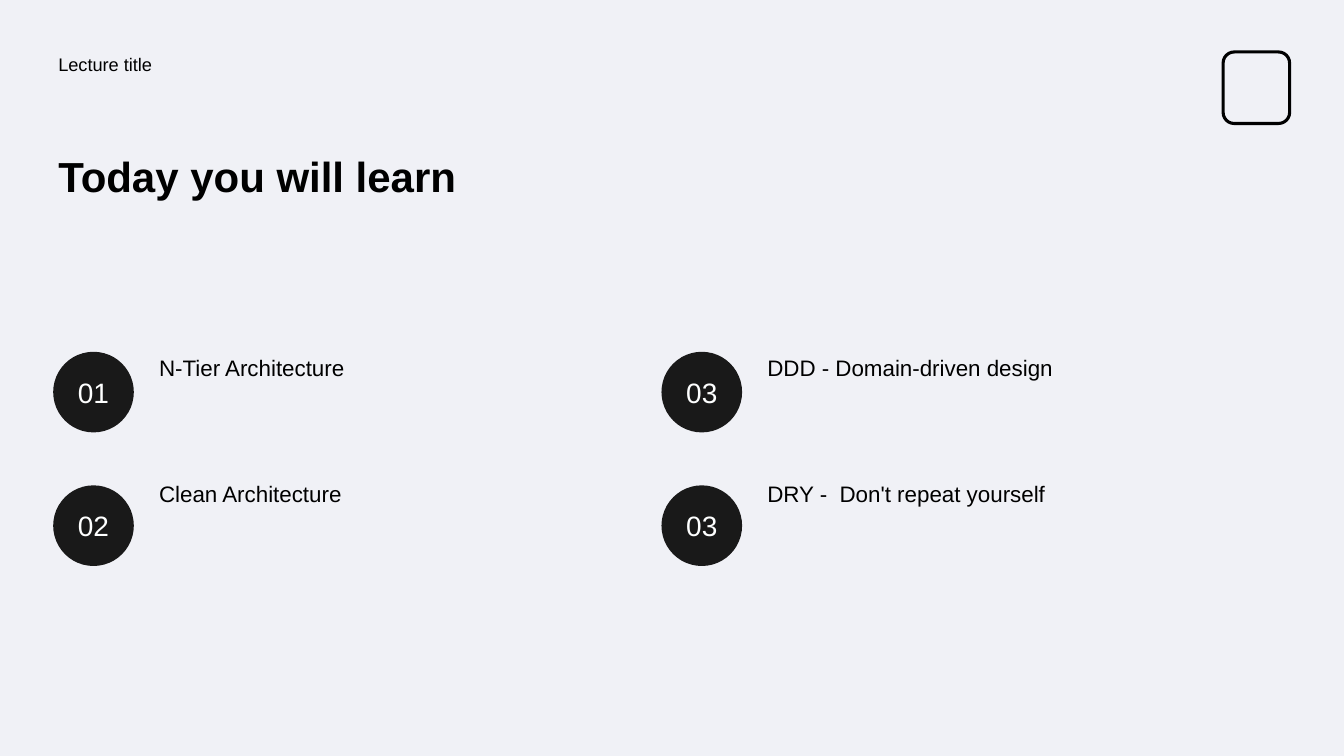
from lxml.etree import SubElement
from pptx import Presentation
from pptx.dml.color import RGBColor
from pptx.enum.shapes import MSO_SHAPE
from pptx.enum.text import MSO_ANCHOR, MSO_AUTO_SIZE, PP_ALIGN
from pptx.oxml.ns import qn
from pptx.util import Pt

COLORS = {"bg": "F0F1F6", "text": "000000", "badge": "191919", "number": "FEFFFF"}
TOPICS = [
    ("01", "N-Tier Architecture"),
    ("02", "Clean Architecture"),
    ("03", "DDD - Domain-driven design"),
    ("03", "DRY -  Don't repeat yourself"),
]


class Deck:
    font = "Arial"

    def __init__(self, prs, layout):
        self.s = prs.slides.add_slide(prs.slide_layouts[layout])
        self.fill(self.s.background, "bg")

    def fill(self, item, color):
        item.fill.solid()
        item.fill.fore_color.rgb = RGBColor.from_string(COLORS[color])

    def set_text(self, sp, text, size, color="text", bold=False,
                 align=PP_ALIGN.LEFT, anchor=MSO_ANCHOR.TOP, spacing=0.9):
        tf = sp.text_frame
        tf.text = text
        tf.word_wrap = True
        tf.auto_size = MSO_AUTO_SIZE.NONE
        tf.vertical_anchor = anchor
        tf.margin_left = tf.margin_right = Pt(3.6)
        tf.margin_top = tf.margin_bottom = Pt(3.6)
        p = tf.paragraphs[0]
        p.alignment = align
        p.line_spacing = spacing
        p.space_before = Pt(0)
        f = p.runs[0].font
        f.name, f.size, f.bold = self.font, Pt(size), bold
        f.color.rgb = RGBColor.from_string(COLORS[color])
        return p

    def placeholder(self, idx, text, x, y, w, h, size, bold=False):
        sp = self.s.placeholders[idx]
        sp.left, sp.top, sp.width, sp.height = Pt(x), Pt(y), Pt(w), Pt(h)
        pPr = self.set_text(sp, text, size, bold=bold)._p.get_or_add_pPr()
        pPr.set("marL", "0")
        pPr.set("indent", "0")
        SubElement(pPr, qn("a:buNone"))

    def textbox(self, text, x, y, w, h, size):
        sp = self.s.shapes.add_textbox(Pt(x), Pt(y), Pt(w), Pt(h))
        self.set_text(sp, text, size)

    def badge(self, text, x, y, d):
        sp = self.s.shapes.add_shape(MSO_SHAPE.OVAL, Pt(x), Pt(y), Pt(d), Pt(d))
        sp.shadow.inherit = False
        self.fill(sp, "badge")
        sp.line.fill.background()
        self.set_text(sp, text, 20, "number", align=PP_ALIGN.CENTER,
                      anchor=MSO_ANCHOR.MIDDLE, spacing=1.0)

    def emblem(self, x, y, w, h):
        sp = self.s.shapes.add_shape(MSO_SHAPE.ROUNDED_RECTANGLE, Pt(x), Pt(y), Pt(w), Pt(h))
        sp.shadow.inherit = False
        sp.fill.background()
        sp.line.color.rgb = RGBColor.from_string(COLORS["text"])
        sp.line.width = Pt(2.2)


def main():
    prs = Presentation()
    prs.slide_width, prs.slide_height = Pt(960), Pt(540)
    deck = Deck(prs, 4)
    deck.emblem(873.7, 37.1, 47.5, 51.1)
    deck.textbox("Lecture title", 38, 36, 442, 36, 13)
    deck.placeholder(0, "Today you will learn", 38, 108, 406, 107, 30, bold=True)
    for i, (number, topic) in enumerate(TOPICS):
        col, row = divmod(i, 2)
        x = 38 + 434.5 * col
        deck.badge(number, x, 251.3 + 95.4 * row, 57.6)
        deck.placeholder(i + 1, topic, x + 72, 251.3 + 90 * row, 333.4, 71.3, 16)
    prs.save("out.pptx")


if __name__ == "__main__":
    main()
